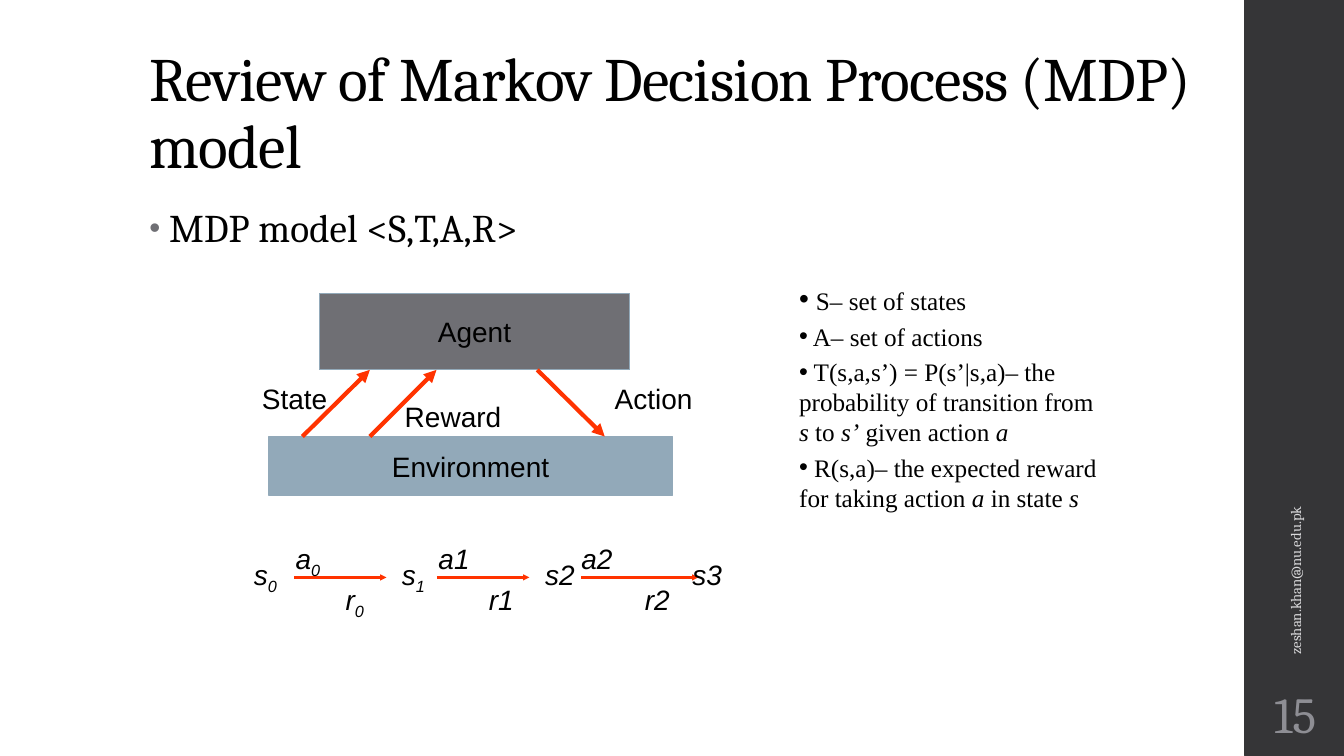
"""Builds the slide reviewing the Markov Decision Process model."""
from lxml.etree import SubElement
from pptx import Presentation
from pptx.dml.color import RGBColor as RGB
from pptx.enum.shapes import MSO_CONNECTOR as CONN, MSO_SHAPE as SHAPE
from pptx.enum.text import MSO_ANCHOR as ANCHOR, MSO_AUTO_SIZE as FIT, PP_ALIGN as ALIGN
from pptx.oxml.ns import qn
from pptx.util import Cm, Pt

TITLE = "Review of Markov Decision Process (MDP) model"
BODY = "MDP model <S,T,A,R>"
EMAIL = "zeshan.khan@nu.edu.pk"
NUMBER = "15"
DEFINITIONS = [
    [(" ", "lead"), ("S– set of states", "")],
    [(" A– set of actions", "")],
    [(" T(s,a,s’) = P(s’|s,a)– the probability of transition from ", ""), ("s ", "i"),
     ("to ", ""), ("s’", "i"), (" given action", ""), (" a", "i")],
    [(" R(s,a)– the expected reward for taking action ", ""), ("a ", "i"),
     ("in state ", ""), ("s", "i")],
]
AGENT_BOTTOM, ENVIRONMENT_TOP, CHAIN_Y = 9.32, 11, 14.55
BLOCKS = [
    ("Agent", (8.05, 7.4, 7.82, 1.92), "agent"),
    ("Environment", (6.78, ENVIRONMENT_TOP, 10.16, 1.48), "environment"),
]
FLOWS = [
    (7.62, ENVIRONMENT_TOP, 9.32, AGENT_BOTTOM),
    (9.32, ENVIRONMENT_TOP, 11, AGENT_BOTTOM),
    (13.54, AGENT_BOTTOM, 15.24, ENVIRONMENT_TOP),
]
FLOW_LABELS = [
    ("State", (6.35, 9.49, 2.2, 1.09)),
    ("Reward", (9.95, 9.95, 2.95, 1.09)),
    ("Action", (15.24, 9.49, 2.8, 1.09)),
]
STATES = [("s", "0", 6.15), ("s", "1", 9.88), ("s2", "", 13.49), ("s3", "", 17.2)]
ACTIONS = [("a", "0", 7.2), ("a1", "", 10.8), ("a2", "", 14.4)]
REWARDS = [("r", "0", 8.46), ("r1", "", 12.07), ("r2", "", 16)]
CHAIN_ROWS = [(STATES, 13.93), (ACTIONS, 13.51), (REWARDS, CHAIN_Y)]
STEPS = [(7.41, 9.74), (11.01, 13.34), (14.65, 17.6)]


class Theme:
    ink, arrow, sidebar = "000000", "FF3300", "353537"
    blocks = {"agent": "6F6F74", "environment": "92A9B9"}
    bullet, email, number = "6F6F74", "D9D9DB", "8E8E94"
    serif, diagram, notes = "Cambria", "Arial", "Times New Roman"
    title_size, body_size, label_size, note_size = 44, 28, 20, 18
    email_size, number_size = 10.5, 36


def child(parent, tag, **attributes):
    return SubElement(parent, qn("a:" + tag), attributes)


def style(p, name, size, color=Theme.ink, italic=None):
    p.font.name, p.font.size, p.font.italic = name, Pt(size), italic
    p.font.color.rgb = RGB.from_string(color)


def add_run(p, text, **attributes):
    r = p.add_run()
    r.text = text
    for key, value in attributes.items():
        r._r.get_or_add_rPr().set(key, value)
    return r


def add_bullet(p, indent=0, color=None):
    pPr = p._p.get_or_add_pPr()
    pPr.set("marL", str(Cm(indent)))
    pPr.set("indent", str(-Cm(indent)))
    if color:
        child(child(pPr, "buClr"), "srgbClr", val=color)
        child(pPr, "buSzPct", val="80000")
    child(pPr, "buFont", typeface=Theme.diagram)
    child(pPr, "buChar", char="•")


def add_rect(slide, box, fill, line):
    s = slide.shapes.add_shape(SHAPE.RECTANGLE, *map(Cm, box))
    s.shadow.inherit = False
    s.fill.solid()
    s.fill.fore_color.rgb = RGB.from_string(fill)
    s.line.color.rgb = RGB.from_string(line)
    s.line.width = Pt(0.75)
    return s


def add_text(slide, box, wrap=True, fit=FIT.NONE):
    s = slide.shapes.add_textbox(*map(Cm, box))
    s.text_frame.word_wrap, s.text_frame.auto_size = wrap, fit
    return s


def add_label(slide, text, box, subscript="", italic=None):
    s = add_text(slide, box, False, FIT.SHAPE_TO_FIT_TEXT)
    p = s.text_frame.paragraphs[0]
    style(p, Theme.diagram, Theme.label_size, italic=italic)
    add_run(p, text)
    if subscript:
        add_run(p, subscript, baseline="-25000")


def add_arrow(slide, ends, width, head):
    s = slide.shapes.add_connector(CONN.STRAIGHT, *map(Cm, ends))
    s.line.color.rgb = RGB.from_string(Theme.arrow)
    s.line.width = Pt(width)
    spPr = s._element.spPr
    child(spPr.find(qn("a:ln")), "tailEnd", type="triangle", w=head, len=head)
    child(spPr, "effectLst")


def fill_placeholder(s, text, box, size, spacing, gap, anchor):
    s.left, s.top, s.width, s.height = map(Cm, box)
    tf = s.text_frame
    tf.word_wrap, tf.auto_size, tf.vertical_anchor = True, FIT.NONE, anchor
    p = tf.paragraphs[0]
    p.alignment, p.line_spacing, p.space_before = ALIGN.LEFT, spacing, Pt(0)
    if text == BODY:
        add_bullet(p, 0.5, Theme.bullet)
    style(p, Theme.serif, size)
    add_run(p, text, spc=gap)


def add_diagram(slide):
    for text, box, role in BLOCKS:
        s = add_rect(slide, box, Theme.blocks[role], Theme.blocks["environment"])
        tf = s.text_frame
        tf.word_wrap, tf.vertical_anchor = False, ANCHOR.MIDDLE
        p = tf.paragraphs[0]
        p.alignment = ALIGN.CENTER
        style(p, Theme.diagram, Theme.label_size)
        add_run(p, text)
    for ends in FLOWS:
        add_arrow(slide, ends, 3, "med")
    for text, box in FLOW_LABELS:
        add_label(slide, text, box)
    for start, end in STEPS:
        add_arrow(slide, (start, CHAIN_Y, end, CHAIN_Y), 2.25, "sm")
    for row, top in CHAIN_ROWS:
        for text, subscript, left in row:
            add_label(slide, text, (left, top, 1.4, 1.12), subscript, True)


def add_definitions(slide):
    tf = add_text(slide, (19.89, 6.99, 8.26, 10.8)).text_frame
    for i, runs in enumerate(DEFINITIONS):
        p = tf.add_paragraph() if i else tf.paragraphs[0]
        p.space_before = Pt(3.6 if i else 0)
        add_bullet(p)
        style(p, Theme.notes, Theme.note_size)
        for text, kind in runs:
            r = add_run(p, text)
            if kind == "i":
                r.font.italic = True
            elif kind == "lead":
                r.font.size = Pt(Theme.label_size)


def add_sidebar(slide):
    add_rect(slide, (31.37, 0, 2.54, 19.05), Theme.sidebar, Theme.sidebar)
    email = add_text(slide, (27.66, 11.25, 9.96, 1.02))
    email.rotation = 270
    number = add_text(slide, (31.37, 17.15, 2.54, 1.65))
    number.text_frame.margin_left = number.text_frame.margin_right = Cm(0.13)
    number.text_frame.paragraphs[0].alignment = ALIGN.CENTER
    for s, text, size, color in ((email, EMAIL, Theme.email_size, Theme.email),
                                 (number, NUMBER, Theme.number_size, Theme.number)):
        s.text_frame.vertical_anchor = ANCHOR.MIDDLE
        p = s.text_frame.paragraphs[0]
        style(p, Theme.serif, size, color)
        add_run(p, text)


def main():
    prs = Presentation()
    prs.slide_width, prs.slide_height = Cm(33.87), Cm(19.05)
    slide = prs.slides.add_slide(prs.slide_layouts[1])
    fill_placeholder(slide.shapes.title, TITLE, (3.51, 1.02, 26.92, 3.68),
                     Theme.title_size, 0.9, "-50", ANCHOR.BOTTOM)
    fill_placeholder(slide.placeholders[1], BODY, (3.51, 5.08, 23.88, 12.09),
                     Theme.body_size, 0.95, "10", ANCHOR.TOP)
    for add_part in (add_sidebar, add_diagram, add_definitions):
        add_part(slide)
    prs.save("out.pptx")


if __name__ == "__main__":
    main()
